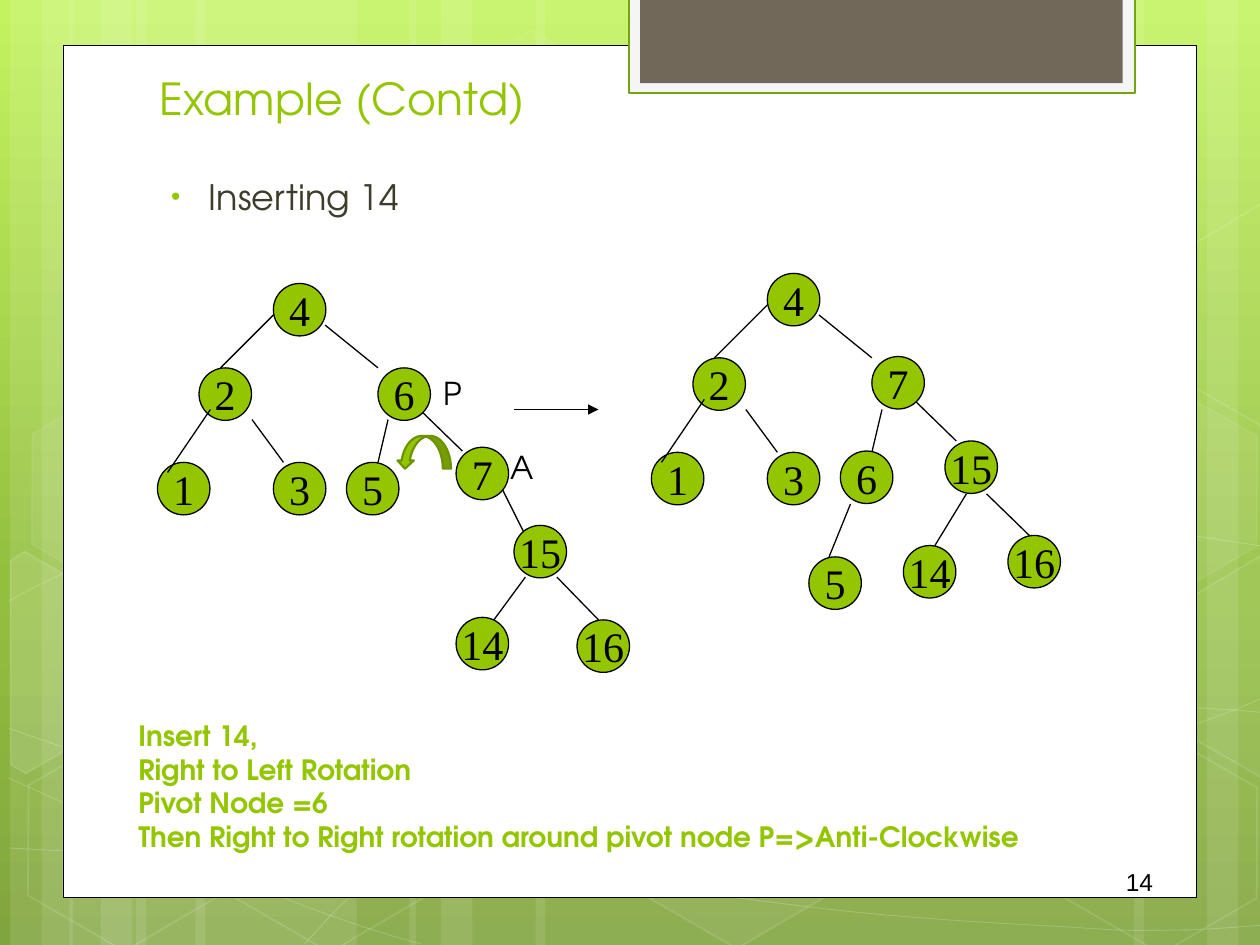
from lxml import etree
from pptx import Presentation
from pptx.dml.color import RGBColor
from pptx.enum.shapes import MSO_CONNECTOR, MSO_SHAPE
from pptx.enum.text import MSO_ANCHOR, PP_ALIGN
from pptx.oxml.ns import qn
from pptx.util import Inches, Pt

RECT, OVAL, HEXAGON = MSO_SHAPE.RECTANGLE, MSO_SHAPE.OVAL, MSO_SHAPE.HEXAGON
CURVED_ARROW = MSO_SHAPE.CURVED_DOWN_ARROW
STRAIGHT = MSO_CONNECTOR.STRAIGHT
TOP, MIDDLE, BOTTOM = MSO_ANCHOR.TOP, MSO_ANCHOR.MIDDLE, MSO_ANCHOR.BOTTOM
LEFT, CENTER, RIGHT = PP_ALIGN.LEFT, PP_ALIGN.CENTER, PP_ALIGN.RIGHT
COLORS = {"white": "FFFFFF", "black": "000000", "green": "94C600", "dark green": "6D9200",
          "frame": "74A510", "pale": "F5F5F5", "brown": "71685A", "ink": "3E3D2D"}
GRADIENT = [(0, "C3F35F"), (62, "93BF3F"), (100, "81A53E")]
SANS, SERIF, NUMBER = "TeX Gyre Adventor", "Times New Roman", "Arial"
NODE_SIZE = 5 / 12

BARS = [(1.08, 1.75), (0.08, 0.5), (0.33, 0.83), (1.55, 1.75), (0.55, 0.5), (0.8, 0.83),
        (7.33, 1.75), (9.58, 0.5), (9, 0.83), (4.25, 3.08), (3.25, 0.5), (3.5, 0.83)]
# Each curve: a start point, then cubic pieces of two handles and an end point
CURVES = [
    [(0.07, 6.73), (0.61, 6.76), (1.15, 6.79), (1.9, 6.78), (2.65, 6.77), (3.58, 6.75),
     (4.58, 6.65), (5.58, 6.55), (7, 6.36), (7.92, 6.17), (8.83, 5.98), (9.77, 5.68), (10.07, 5.51)],
    [(0.07, 4.77), (0.36, 4.61), (0.65, 4.46), (1.21, 4.31), (1.78, 4.16), (2.59, 3.94),
     (3.47, 3.87), (4.36, 3.8), (5.44, 3.79), (6.54, 3.87), (7.64, 3.95), (9.47, 4.26), (10.07, 4.34)],
    [(0.06, 6.17), (1.27, 6.72), (2.47, 7.27), (3.34, 7.49)],
    [(0.07, 5.78), (0.38, 5.89), (0.7, 6), (1.28, 6.16), (1.86, 6.31), (2.73, 6.56), (3.57, 6.73),
     (4.4, 6.9), (5.45, 7.08), (6.28, 7.18), (7.11, 7.29), (8, 7.33), (8.53, 7.36),
     (9.05, 7.4), (9.19, 7.38), (9.45, 7.38), (9.71, 7.37), (9.89, 7.35), (10.07, 7.34)],
    [(2.42, 7.49), (2.6, 7.29), (2.78, 7.09), (3.02, 6.91), (3.26, 6.73), (3.6, 6.53), (3.88, 6.39),
     (4.16, 6.25), (4.33, 6.19), (4.7, 6.09), (5.06, 5.99), (5.73, 5.85), (6.08, 5.78),
     (6.44, 5.71), (6.49, 5.71), (6.8, 5.69), (7.11, 5.66), (7.6, 5.63), (7.94, 5.62),
     (8.29, 5.61), (8.86, 5.62), (8.86, 5.62), (9.08, 5.62), (9.31, 5.62), (9.53, 5.62),
     (9.71, 5.63), (9.88, 5.64), (9.97, 5.65), (10.06, 5.66), (10.03, 5.65), (10.06, 5.66)],
]
# left, top, fill opacity (None for no fill), line opacity
HEXAGONS = [(3.34, 0.36, 4, 8), (4.97, 5.89, 6, 12), (0.11, 5.91, None, 12), (0.14, 3.12, 7, 8),
            (1.74, 5.92, None, 12), (7.53, 4.53, 10, 12), (8.34, 5.93, None, 12), (8.34, 3.14, 7, 8)]
# Hexagons cut by the slide edge, before they are turned
LEFT_CUT = [(0, 0.12), (0.06, 0), (0.94, 0), (1.38, 0.77), (0.95, 1.52), (0.81, 1.52)]
RIGHT_CUT = [(0, 0.75), (0.42, 0), (0.52, 0), (1.36, 1.45), (1.31, 1.52), (0.43, 1.52)]
CUT_HEXAGONS = [(LEFT_CUT, -0.33, 4.59, 10), (RIGHT_CUT, 9.17, 4.44, 4), (RIGHT_CUT, 9.17, 1.65, None)]
TILT = 30

# Nodes and edges that both trees share, placed for the left tree
SHARED_NODES = [("4", 2.17, 2.25), ("2", 1.58, 2.92), ("1", 1.25, 3.67), ("3", 2.17, 3.67)]
SHARED_EDGES = [(2.17, 2.5, 1.75, 2.92), (2.58, 2.58, 3, 2.92), (3.33, 3.25, 3.67, 3.58),
                (2, 3.33, 2.25, 3.67), (3.08, 3.33, 3, 3.67)]
TOP_EDGE = (1.67, 3.25, 1.33, 3.75)
RIGHT_SHIFT = (3.92, -0.08)
LEFT_NODES = [("6", 3, 2.92), ("5", 2.75, 3.67), ("7", 3.62, 3.55), ("15", 4.08, 4.17),
              ("14", 3.62, 4.9), ("16", 4.58, 4.92)]
LEFT_EDGES = [(3.99, 3.89, 4.16, 4.23), (4.17, 4.58, 3.92, 4.92), (4.42, 4.58, 4.75, 4.92)]
RIGHT_NODES = [("7", 6.92, 2.83), ("6", 6.67, 3.58), ("15", 7.5, 3.5), ("5", 6.42, 4.42),
               ("14", 7.17, 4.33), ("16", 8, 4.25)]
RIGHT_EDGES = [(6.75, 4, 6.58, 4.42), (7.67, 3.92, 7.42, 4.33), (7.83, 3.92, 8.17, 4.25)]


def rgb(name):
    return RGBColor.from_string(COLORS[name])


def set_opacity(parent, percent):
    if percent < 100:
        color = parent.find(qn("a:solidFill"))[0]
        etree.SubElement(color, qn("a:alpha")).set("val", str(percent * 1000))


def bend(shape):
    """Turn every three straight pieces of a freeform into one cubic piece."""
    pieces = list(shape.element.iter(qn("a:lnTo")))
    for first in range(0, len(pieces), 3):
        cubic = etree.Element(qn("a:cubicBezTo"))
        pieces[first].addprevious(cubic)
        for piece in pieces[first:first + 3]:
            cubic.append(piece[0])
            piece.getparent().remove(piece)


def write(frame, text, font=SANS, size=18, color="black", bold=False, align=LEFT,
          anchor=TOP, wrap=True, bullet=None):
    """Fill a text frame; a newline starts a paragraph, a vertical tab breaks a line."""
    frame.word_wrap, frame.vertical_anchor = wrap, anchor
    for index, line in enumerate(text.split("\n")):
        para = frame.add_paragraph() if index else frame.paragraphs[0]
        para.text, para.alignment = line, align
        if bullet:
            props = para._p.get_or_add_pPr()
            props.set("marL", str(Inches(0.38)))
            props.set("indent", str(Inches(-0.3)))
            tint = etree.SubElement(props, qn("a:buClr"))
            etree.SubElement(tint, qn("a:srgbClr")).set("val", COLORS["green"])
            etree.SubElement(props, qn("a:buSzPct")).set("val", "76000")
            etree.SubElement(props, qn("a:buFont")).set("typeface", NUMBER)
            etree.SubElement(props, qn("a:buChar")).set("char", bullet)
        for span in para.runs:
            span.font.name, span.font.size, span.font.bold = font, Pt(size), bold
            span.font.color.rgb = rgb(color)


class Page:
    def __init__(self, deck):
        self.slide = deck.slides.add_slide(deck.slide_layouts[6])
        self.shapes = self.slide.shapes

    def background(self, stops):
        fill = self.slide.background.fill
        fill.gradient()
        fill.gradient_angle = 270
        stop_list = next(self.slide.element.iter(qn("a:gsLst")))
        for old in list(stop_list):
            stop_list.remove(old)
        for position, color in stops:
            stop = etree.SubElement(stop_list, qn("a:gs"), pos=str(position * 1000))
            etree.SubElement(stop, qn("a:srgbClr")).set("val", color)

    def paint(self, shape, fill, line, width, fill_opacity=100, line_opacity=100):
        shape.shadow.inherit = False
        props = shape.element.spPr
        if fill:
            shape.fill.solid()
            shape.fill.fore_color.rgb = rgb(fill)
            set_opacity(props, fill_opacity)
        else:
            shape.fill.background()
        if line:
            shape.line.color.rgb, shape.line.width = rgb(line), Pt(width)
            set_opacity(props.find(qn("a:ln")), line_opacity)
        else:
            shape.line.fill.background()
        return shape

    def shape(self, kind, left, top, width, height, fill=None, line=None, line_width=0.75, **opacity):
        shape = self.shapes.add_shape(kind, *map(Inches, (left, top, width, height)))
        return self.paint(shape, fill, line, line_width, **opacity)

    def outline(self, points, closed=False, fill=None, line_width=1, **opacity):
        corners = [(Inches(x), Inches(y)) for x, y in points]
        builder = self.shapes.build_freeform(*corners[0])
        builder.add_line_segments(corners[1:], close=closed)
        return self.paint(builder.convert_to_shape(), fill, "white", line_width, **opacity)

    def line(self, x1, y1, x2, y2, arrow=False):
        line = self.shapes.add_connector(STRAIGHT, *map(Inches, (x1, y1, x2, y2)))
        line.line.color.rgb, line.line.width = rgb("black"), Pt(0.75)
        props = line.element.spPr
        if arrow:
            etree.SubElement(props.find(qn("a:ln")), qn("a:tailEnd")).set("type", "triangle")
        etree.SubElement(props, qn("a:effectLst"))

    def text(self, left, top, width, height, text, **style):
        box = self.shapes.add_textbox(*map(Inches, (left, top, width, height)))
        write(box.text_frame, text, **style)

    def node(self, label, left, top):
        node = self.shape(OVAL, left, top, NODE_SIZE, NODE_SIZE, "green", "black")
        write(node.text_frame, label, font=SERIF, size=24, align=CENTER, anchor=MIDDLE, wrap=False)

    def tree(self, nodes, edges, shift=(0, 0)):
        """Draw the shared part, moved by shift, with the nodes and edges of one tree."""
        dx, dy = shift
        moved = [(x1 + dx, y1 + dy, x2 + dx, y2 + dy) for x1, y1, x2, y2 in SHARED_EDGES + [TOP_EDGE]]
        for edge in moved[:-1] + edges:
            self.line(*edge)
        for label, left, top in [(label, x + dx, y + dy) for label, x, y in SHARED_NODES] + nodes:
            self.node(label, left, top)
        self.line(*moved[-1])


def draw_backdrop(page):
    page.background(GRADIENT)
    for left, width in BARS:
        page.shape(RECT, left, 0, width, 7.5, "white", fill_opacity=10)
    for curve in CURVES:
        bend(page.outline(curve, line_width=0.5, line_opacity=20))
    for left, top, opacity, line_opacity in HEXAGONS:
        hexagon = page.shape(HEXAGON, left, top, 1.75, 1.52, "white" if opacity else None, "white", 1,
                             fill_opacity=opacity, line_opacity=line_opacity)
        hexagon.rotation = TILT
        hexagon.adjustments[0], hexagon.adjustments[1] = 0.285, 1.155
    for corners, left, top, opacity in CUT_HEXAGONS:
        points = [(left + x, top + y) for x, y in corners]
        page.outline(points, True, "white" if opacity else None,
                     fill_opacity=opacity, line_opacity=12).rotation = TILT
    page.shape(RECT, 0.5, 0.36, 9, 6.76, "white", "black", 0.5)
    page.shape(RECT, 4.99, -0.02, 4.02, 0.76, "pale", "frame", 1.25)
    page.shape(RECT, 5.08, -0.02, 3.83, 0.68, "brown")


def main():
    deck = Presentation()
    deck.slide_width, deck.slide_height = Inches(10), Inches(7.5)
    page = Page(deck)
    draw_backdrop(page)
    page.text(7.17, 6.83, 2.08, 0.5, "14", font=NUMBER, size=14, align=RIGHT)
    page.text(1.17, 0.5, 7.68, 0.54, "Example (Contd)", size=25.2, color="green", anchor=BOTTOM)
    page.text(1.18, 1.34, 7.41, 3.84, "Inserting 14", size=20, color="ink", bullet="•")
    page.line(4.08, 3.25, 4.75, 3.25, arrow=True)
    page.tree(RIGHT_NODES, RIGHT_EDGES, RIGHT_SHIFT)
    page.tree(LEFT_NODES, LEFT_EDGES)
    page.text(3.42, 2.92, 0.42, 0.4, "P")
    page.text(3.95, 3.51, 0.42, 0.4, "A")
    page.text(1, 5.65, 7.63, 1.17, "Insert 14,\nRight to Left Rotation\vPivot Node =6\v"
              "Then Right to Right rotation around pivot node P=>Anti-Clockwise",
              size=16, color="green", bold=True, anchor=BOTTOM)
    turn = page.shape(CURVED_ARROW, 3.15, 3.46, 0.43, 0.26, "green", "dark green", 1.25)
    turn.element.spPr.find(qn("a:xfrm")).set("flipH", "1")
    deck.save("out.pptx")


if __name__ == "__main__":
    main()
